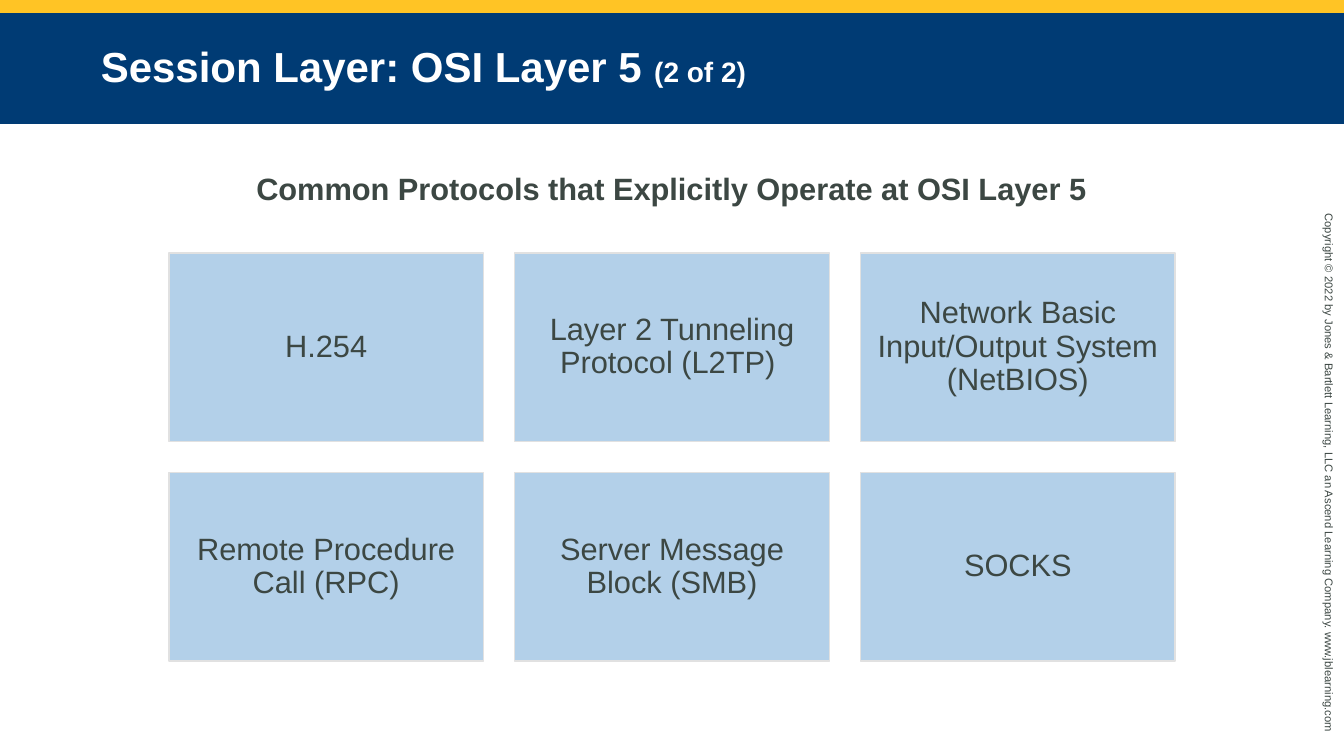
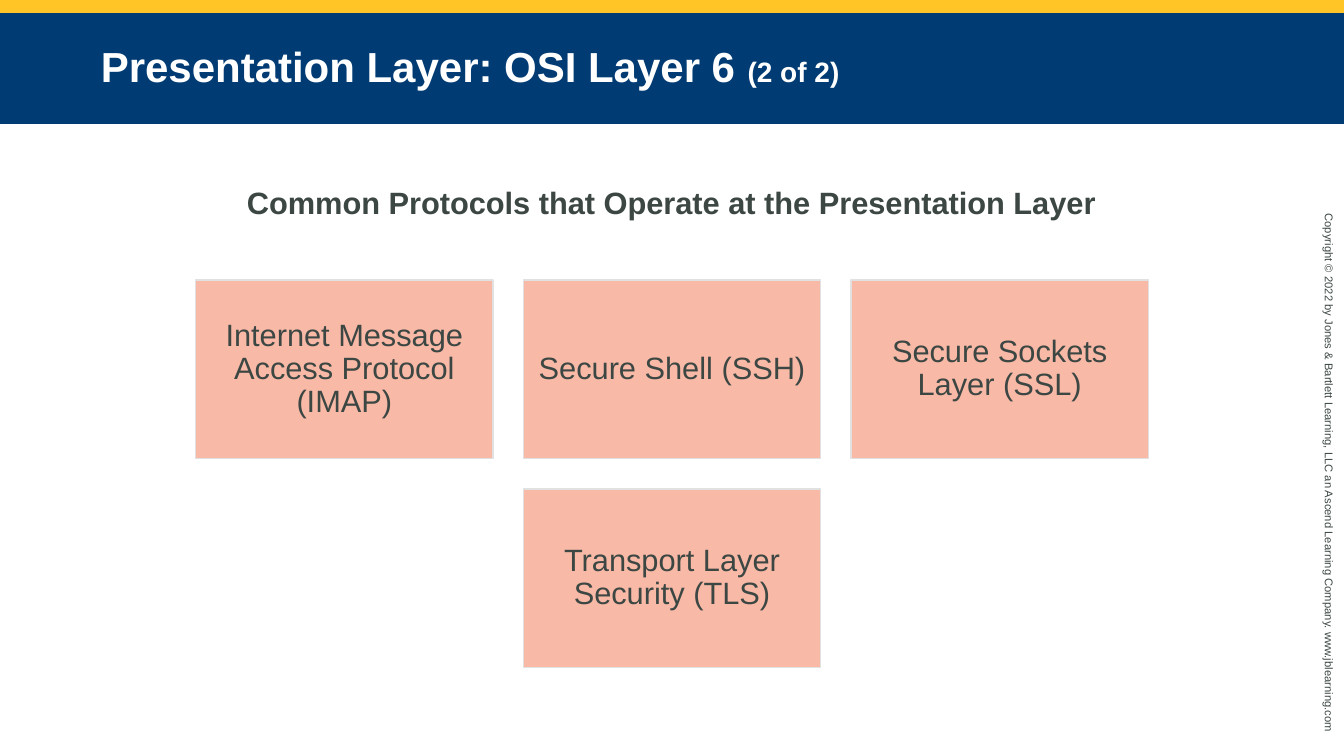
"""Build two slides on the protocols of OSI layers 5 and 6."""
from pptx import Presentation
from pptx.dml.color import RGBColor
from pptx.enum.shapes import MSO_SHAPE
from pptx.enum.text import MSO_ANCHOR, PP_ALIGN
from pptx.util import Inches, Pt

GOLD = RGBColor(0xFF, 0xC4, 0x25)
NAVY = RGBColor(0x00, 0x3B, 0x74)
WHITE = RGBColor(0xFF, 0xFF, 0xFF)
SLATE = RGBColor(0x3C, 0x47, 0x43)
SKY = RGBColor(0xB3, 0xD0, 0xE9)
SALMON = RGBColor(0xF9, 0xB9, 0xA7)
EDGE = RGBColor(0xE1, 0xE1, 0xE1)

WIDTH, HEIGHT = 13.33, 7.5
COPYRIGHT = ("Copyright © 2022 by Jones & Bartlett Learning, LLC an Ascend "
             "Learning Company. www.jblearning.com")

LAYERS = [
    {"title": "Session Layer: OSI Layer 5 ", "part": "(2 of 2)",
     "heading": "Common Protocols that Explicitly Operate at OSI Layer 5",
     "heading_top": 1.63, "color": SKY,
     "top": 2.51, "card": (3.12, 1.87), "gap": 0.31,
     "rows": [["H.254", "Layer 2 Tunneling Protocol (L2TP) ",
               "Network Basic Input/Output System (NetBIOS)"],
              ["Remote Procedure Call (RPC)",
               "Server Message Block (SMB)", "SOCKS"]]},
    {"title": "Presentation Layer: OSI Layer 6 ", "part": "(2 of 2)",
     "heading": "Common Protocols that Operate at the Presentation Layer",
     "heading_top": 1.77, "color": SALMON,
     "top": 2.78, "card": (2.95, 1.77), "gap": 0.3,
     "rows": [["Internet Message Access Protocol (IMAP)",
               "Secure Shell (SSH)", "Secure Sockets Layer (SSL)"],
              ["Transport Layer Security (TLS)"]]},
]

TITLE = {"size": Pt(30), "bold": True, "color": WHITE}
PART = {**TITLE, "size": Pt(20)}
HEADING = {"size": Pt(22), "bold": True, "color": SLATE}
CARD = {**HEADING, "bold": False}
FOOTER = {**CARD, "size": Pt(8)}


def set_all(target, values):
    for name, value in values.items():
        setattr(target, name, value)


def write(shape, runs, align=PP_ALIGN.LEFT, spacing=1.0, **frame_format):
    frame = shape.text_frame
    set_all(frame, {"word_wrap": True, **frame_format})
    paragraph = frame.paragraphs[0]
    set_all(paragraph, {"alignment": align, "line_spacing": spacing})
    for text, style in runs:
        run = paragraph.add_run()
        run.text = text
        set_all(run.font, {"name": "Arial", "size": style["size"],
                           "bold": style["bold"]})
        run.font.color.rgb = style["color"]


def add_panel(slide, box, color, edge=None):
    panel = slide.shapes.add_shape(MSO_SHAPE.RECTANGLE, *map(Inches, box))
    panel.shadow.inherit = False
    panel.fill.solid()
    panel.fill.fore_color.rgb = color
    if edge is None:
        panel.line.fill.background()
    else:
        panel.line.color.rgb = edge
        panel.line.width = Pt(1)
    return panel


def add_label(slide, box, text, style, **layout):
    label = slide.shapes.add_textbox(*map(Inches, box))
    write(label, [(text, style)], **layout)
    return label


def add_frame(slide, title, part):
    add_panel(slide, (0, 0, WIDTH, 0.13), GOLD)
    add_label(slide, (10.44, 4.64, 5.48, 0.24), COPYRIGHT, FOOTER).rotation = 90
    banner = add_panel(slide, (0, 0.13, WIDTH, 1.1), NAVY)
    write(banner, [(title, TITLE), (part, PART)], spacing=0.95,
          vertical_anchor=MSO_ANCHOR.MIDDLE,
          margin_left=Inches(1), margin_right=Inches(1))


def place_cards(layer):
    width, height = layer["card"]
    gap = layer["gap"]
    for row, names in enumerate(layer["rows"]):
        row_width = len(names) * (width + gap) - gap
        left = (WIDTH - row_width) / 2
        top = layer["top"] + row * (height + gap)
        for column, name in enumerate(names):
            yield name, (left + column * (width + gap), top, width, height)


def add_cards(slide, layer):
    margins = dict.fromkeys(("margin_left", "margin_right", "margin_top",
                             "margin_bottom"), Inches(0.09))
    for name, box in place_cards(layer):
        card = add_panel(slide, box, layer["color"], EDGE)
        write(card, [(name, CARD)], PP_ALIGN.CENTER, 0.9,
              vertical_anchor=MSO_ANCHOR.MIDDLE, **margins)


def main():
    deck = Presentation()
    deck.slide_width, deck.slide_height = Inches(WIDTH), Inches(HEIGHT)
    for layer in LAYERS:
        slide = deck.slides.add_slide(deck.slide_layouts[6])
        add_frame(slide, layer["title"], layer["part"])
        add_label(slide, (2.1, layer["heading_top"], 9.12, 0.47),
                  layer["heading"], HEADING, align=PP_ALIGN.CENTER)
        add_cards(slide, layer)
    deck.save("out.pptx")


if __name__ == "__main__":
    main()
